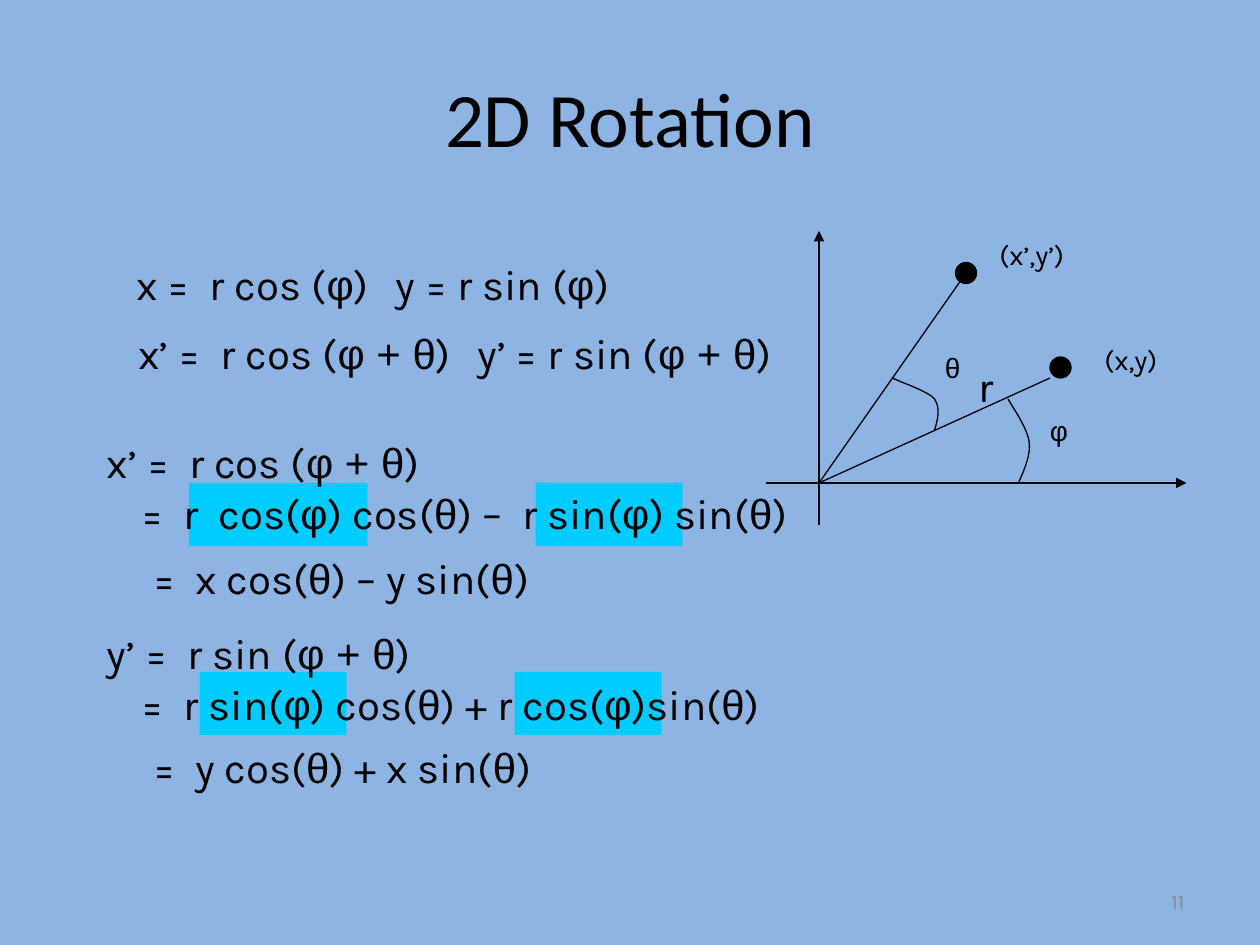
from dataclasses import dataclass

from lxml.etree import SubElement
from pptx import Presentation
from pptx.dml.color import RGBColor
from pptx.enum.shapes import MSO_CONNECTOR as Connector, MSO_SHAPE as Preset
from pptx.enum.text import MSO_ANCHOR as Anchor, MSO_AUTO_SIZE as AutoSize, PP_ALIGN as Align
from pptx.oxml.ns import qn
from pptx.util import Inches, Pt


@dataclass(frozen=True)
class Theme:
    """Colours, fonts and type sizes of the slide."""
    background: str = "8EB4E3"
    highlight: str = "00CCFF"
    ink: str = "000000"
    muted: str = "898989"
    title_font: str = "Calibri"
    latin_font: str = "Karla"
    greek_font: str = "Arial"
    title: int = 44
    equation: int = 24
    label: int = 16
    page: int = 12
    line: float = 0.75


def colour(value):
    """Turn a hex string into a colour."""
    return RGBColor.from_string(value)


def cells(count):
    """Turn grid cells, twelve to the inch, into a length."""
    return Inches(count / 12)


def apply(target, formats):
    """Set every attribute named in a dict of format values."""
    for name, value in formats.items():
        setattr(target, name, value)


def bezier(start, first, second, end, steps=12):
    """Sample a cubic curve, leaving out its start."""
    for step in range(1, steps + 1):
        t = step / steps
        weights = ((1 - t) ** 3, 3 * t * (1 - t) ** 2, 3 * t * t * (1 - t), t ** 3)
        points = (start, first, second, end)
        yield tuple(sum(w * p[axis] for w, p in zip(weights, points)) for axis in (0, 1))


class Board:
    """Draws elements on a slide by grid cells in one style."""

    def __init__(self, slide, theme):
        """Keep the slide and theme and paint the background."""
        self.slide, self.shapes, self.theme = slide, slide.shapes, theme
        slide.background.fill.solid()
        slide.background.fill.fore_color.rgb = colour(theme.background)

    def place(self, shape, box):
        """Move a shape to a box of cells."""
        apply(shape, dict(zip(("left", "top", "width", "height"), map(cells, box))))

    def style_run(self, run, size, font, tint):
        """Format one run of text."""
        apply(run.font, {"size": Pt(size), "name": font})
        run.font.color.rgb = colour(tint)

    def stroke(self, line):
        """Give a line its colour and width."""
        line.color.rgb = colour(self.theme.ink)
        line.width = Pt(self.theme.line)

    def title(self, text, box):
        """Fill and place the title placeholder."""
        title = self.shapes.title
        self.place(title, box)
        title.text_frame.vertical_anchor = Anchor.MIDDLE
        paragraph = title.text_frame.paragraphs[0]
        paragraph.alignment = Align.CENTER
        run = paragraph.add_run()
        run.text = text
        self.style_run(run, self.theme.title, self.theme.title_font, self.theme.ink)

    def text(self, lines, box, size, tint=None, align=Align.LEFT,
             anchor=Anchor.TOP, tab=None, indent=0):
        """Write lines in which bars switch between Latin and Greek fonts."""
        frame = self.shapes.add_textbox(*map(cells, box)).text_frame
        apply(frame, {"word_wrap": True, "vertical_anchor": anchor,
                      "auto_size": AutoSize.SHAPE_TO_FIT_TEXT})
        fonts = (self.theme.latin_font, self.theme.greek_font)
        for number, line in enumerate(lines):
            paragraph = frame.add_paragraph() if number else frame.paragraphs[0]
            paragraph.alignment = align
            properties = paragraph._p.get_or_add_pPr()
            if number:
                properties.set("marL", str(cells(indent)))
            if tab:
                stops = SubElement(properties, qn("a:tabLst"))
                SubElement(stops, qn("a:tab"), pos=str(cells(tab)), algn="l")
            for position, part in enumerate(line.split("|")):
                if part:
                    run = paragraph.add_run()
                    run.text = part
                    self.style_run(run, size, fonts[position % 2], tint or self.theme.ink)

    def shape(self, preset, box, fill, outlined=False):
        """Draw a filled preset shape."""
        shape = self.shapes.add_shape(preset, *map(cells, box))
        shape.shadow.inherit = False
        shape.fill.solid()
        shape.fill.fore_color.rgb = colour(fill)
        if outlined:
            self.stroke(shape.line)
        else:
            shape.line.fill.background()

    def line(self, start, end, arrow=False):
        """Draw a straight line, with an arrowhead at its end if wanted."""
        connector = self.shapes.add_connector(Connector.STRAIGHT, *map(cells, start + end))
        self.stroke(connector.line)
        if arrow:
            SubElement(connector.line._get_or_add_ln(), qn("a:tailEnd"), type="triangle")
        SubElement(connector._element.spPr, qn("a:effectLst"))

    def curve(self, start, *segments):
        """Draw an open curve through cubic segments."""
        points, origin = [], start
        for segment in segments:
            points.extend(bezier(origin, *segment))
            origin = segment[-1]
        builder = self.shapes.build_freeform(*map(cells, start))
        builder.add_line_segments([tuple(map(cells, point)) for point in points], close=False)
        shape = builder.convert_to_shape()
        shape.shadow.inherit = False
        shape.fill.background()
        self.stroke(shape.line)


def main():
    """Build the slide on 2D rotation."""
    presentation = Presentation()
    apply(presentation, {"slide_width": cells(120), "slide_height": cells(90)})
    theme = Theme()
    board = Board(presentation.slides.add_slide(presentation.slide_layouts[5]), theme)

    board.text(["11"], (86, 83.4, 28, 4.8), theme.page, theme.muted, Align.RIGHT, Anchor.MIDDLE)
    for left, top, width in ((49, 64, 14), (19, 64, 14), (51, 46, 14), (18, 46, 17)):
        board.shape(Preset.RECTANGLE, (left, top, width, 6), theme.highlight)
    board.title("2D Rotation", (6, 3.6, 108, 15))

    origin = (78, 46)
    board.line((73, 46), (113, 46), arrow=True)
    board.line((78, 50), (78, 22), arrow=True)
    for tip, dot in (((100, 36), (100, 34)), ((92, 26), (91, 25))):
        board.line(origin, tip)
        board.shape(Preset.OVAL, dot + (2, 2), theme.ink, outlined=True)
    board.curve((89, 41), ((89.3, 40), (89.6, 38.9), (89, 38)),
                ((88.3, 37.2), (85.7, 36.4), (85, 36)))
    board.curve((97, 46), ((97.6, 44.6), (98.2, 43.3), (98, 42)),
                ((97.8, 40.7), (96.4, 38.7), (96, 38)))
    for label, left, top, width in (("(x,y)", 104, 32, 8.8), ("(x’,y’)", 94, 22, 9.8),
                                    ("|θ", 88.8, 32.8, 3.8), ("|φ", 98.8, 38.8, 3.8)):
        board.text([label], (left, top, width, 4.4), theme.label)
    board.text(["r"], (92, 33.7, 3.8, 6), theme.equation)

    for equation, box, tab in (
            ("x =  r cos (|φ|)\ty = r sin (|φ|)", (11.8, 24, 50.8, 6), 24.7),
            ("x’ =  r cos (|φ + θ|)\ty’ = r sin (|φ + θ|)", (12, 30.6, 65.6, 6), 32.3),
            ("=  x cos(|θ|) – y sin(|θ|)", (13.4, 52, 42.6, 6), None),
            ("=  y cos(|θ|) + x sin(|θ|)", (13.4, 70, 43.3, 6), None)):
        board.text([equation], box, theme.equation, tab=tab)
    for lines, top in (
            (("x’ =  r cos (|φ + θ|)", "=  r  cos(|φ|) cos(|θ|) –  r sin(|φ|) sin(|θ|)"), 41),
            (("y’ =  r sin (|φ + θ|)", "=  r sin(|φ|) cos(|θ|) + r cos(|φ|)sin(|θ|)"), 59.2)):
        board.text(lines, (9, top, 70.4, 10.8), theme.equation, indent=3.3)

    presentation.save("out.pptx")


main()
